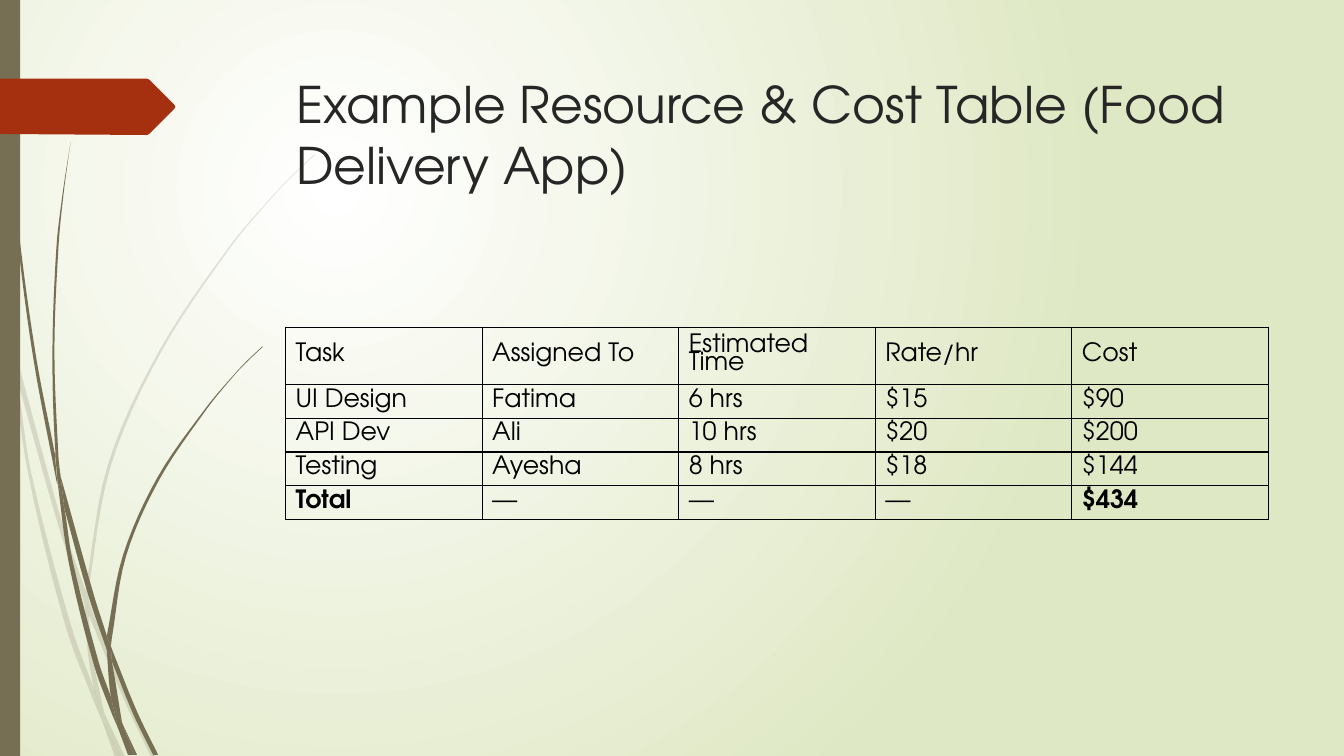
import math

import pptx
import pptx.dml.color
import pptx.enum.shapes
import pptx.enum.text
import pptx.oxml
import pptx.oxml.ns
import pptx.util

Pt = pptx.util.Pt
RGBColor = pptx.dml.color.RGBColor

WHITE = RGBColor(0xFF, 0xFF, 0xFF)
PALE_GREEN = RGBColor(0xDF, 0xE8, 0xC4)
OLIVE = RGBColor(0x76, 0x6F, 0x54)
RUST = RGBColor(0xA5, 0x30, 0x10)
DARK_GREY = RGBColor(0x26, 0x26, 0x26)
BLACK = RGBColor(0x00, 0x00, 0x00)

FONT = "TeX Gyre Adventor"
GRID = Pt(0.72)  # one unit of the outline coordinates below
CURVE_STEPS = 6

# Each outline is a list of edges; each edge is a smooth curve through its points.
FAINT_GRASS = [
    [[(11, 350), (9, 322), (0, 282)], [(0, 299), (10, 344), (11, 350)]],
    [[(14, 345), (62, 520), (85, 586)], [(84, 599), (58, 522), (17, 376)]],
    [[(88, 596), (92, 607), (127, 692), (155, 751)], [(150, 751), (123, 694), (88, 610)]],
    [[(119, 751), (124, 751)], [(105, 711)]],
    [[(93, 683), (70, 619), (31, 469), (17, 376), (11, 350)],
     [(11, 350), (28, 470), (65, 621), (92, 693), (101, 714)], [(99, 707)]],
    [[(84, 599), (87, 646), (93, 683), (96, 692), (105, 711)],
     [(103, 706), (91, 646), (88, 610), (88, 608)]],
    [[(88, 596), (88, 584), (110, 462), (160, 349), (229, 245), (268, 198), (290, 175), (312, 154)],
     [(312, 153), (289, 175), (268, 197), (228, 244), (158, 348), (107, 461), (85, 584), (85, 586)]],
    [[(101, 714), (114, 751)], [(119, 751)]],
    [[(88, 608), (88, 610)], [(88, 596), (85, 586)], [(84, 599)]],
    [[(96, 692), (93, 683)], [(99, 707), (101, 714), (119, 751)], [(105, 711)]],
]
DARK_GRASS = [
    [[(7, 110), (17, 233), (33, 355), (56, 477), (57, 481)],
     [(55, 457), (55, 453), (36, 355), (19, 232), (8, 109), (5, 48), (4, 0)],
     [(3, 0), (4, 48), (7, 110)]],
    [[(106, 633), (106, 631), (93, 590), (60, 472)], [(64, 505), (88, 592), (106, 645)]],
    [[(110, 641), (113, 649), (136, 706), (157, 749)], [(152, 749), (132, 708), (111, 656)]],
    [[(110, 691), (98, 657), (72, 556), (64, 505), (57, 477)],
     [(57, 477), (68, 557), (93, 659), (111, 708), (117, 722)], [(116, 717)]],
    [[(60, 472), (58, 453), (54, 349), (58, 245), (63, 193), (70, 141)],
     [(70, 141), (62, 193), (56, 245), (52, 349), (55, 449), (60, 472)]],
    [[(133, 749), (136, 749)], [(122, 719)]],
    [[(57, 477), (64, 505)], [(60, 472), (55, 449)], [(55, 453)]],
    [[(111, 633), (125, 552), (158, 476), (205, 406), (231, 374), (245, 359), (261, 344)],
     [(260, 344), (245, 358), (231, 373), (204, 405), (156, 474), (122, 551), (106, 631)],
     [(110, 641)]],
    [[(117, 722), (127, 749)], [(131, 749)]],
    [[(106, 645), (110, 691), (116, 706), (122, 719)],
     [(121, 716), (111, 656), (109, 651), (106, 645)]],
    [[(106, 645), (111, 656)], [(110, 641), (106, 631)], [(106, 633)]],
    [[(116, 706), (110, 691)], [(116, 717), (117, 722), (130, 749)], [(133, 749), (122, 719)]],
]
TAG = [[(0, 78), (146, 78)], [(148, 79), (173, 104)], [(174, 106)],
       [(173, 108), (148, 133)], [(146, 134), (0, 133)]]

COST_ROWS = [
    ["Task", "Assigned To", "Estimated Time", "Rate/hr", "Cost"],
    ["UI Design", "Fatima", "6 hrs", "$15", "$90"],
    ["API Dev", "Ali", "10 hrs", "$20", "$200"],
    ["Testing", "Ayesha", "8 hrs", "$18", "$144"],
    ["Total", "—", "—", "—", "$434"],
]
BOLD_TEXTS = ("Total", "$434")


def apply_format(target, values):
    for name, value in values.items():
        setattr(target, name, value)


def write_text(paragraph, text, color, values):
    run = paragraph.add_run()
    run.text = text
    apply_format(run.font, {"name": FONT, **values})
    run.font.color.rgb = color


def paint(shape, color, opacity=100):
    shape.shadow.inherit = False
    shape.fill.solid()
    shape.fill.fore_color.rgb = color
    shape.line.fill.background()
    if opacity < 100:
        color_element = shape.element.spPr.find(".//" + pptx.oxml.ns.qn("a:srgbClr"))
        color_element.append(pptx.oxml.parse_xml(
            f'<a:alpha {pptx.oxml.ns.nsdecls("a")} val="{opacity * 1000}"/>'))


def smooth_edge(points):
    """Return points along a Hermite curve whose speed follows the chord lengths."""
    if len(points) < 3:
        return points
    last = len(points) - 1
    chords = [math.dist(a, b) for a, b in zip(points, points[1:])]
    tangents = []
    for index in range(last + 1):
        before, after = max(index - 1, 0), min(index + 1, last)
        span = sum(chords[before:after])
        tangents.append([(b - a) / span for a, b in zip(points[before], points[after])])
    curve = [points[0]]
    for index, chord in enumerate(chords):
        for step in range(1, CURVE_STEPS + 1):
            t = step / CURVE_STEPS
            end_weight = t * t * (3 - 2 * t)
            leave, arrive = chord * t * (1 - t) ** 2, chord * t * t * (t - 1)
            curve.append(tuple(
                (1 - end_weight) * points[index][axis] + end_weight * points[index + 1][axis]
                + leave * tangents[index][axis] + arrive * tangents[index + 1][axis]
                for axis in (0, 1)))
    return curve


def add_outline(shapes, edges, color, opacity=100):
    vertices = [(x * GRID, y * GRID) for edge in edges for x, y in smooth_edge(edge)]
    builder = shapes.build_freeform(*vertices[0])
    builder.add_line_segments(vertices[1:], close=True)
    paint(builder.convert_to_shape(), color, opacity)


def add_grass(slide, outlines, opacity):
    group = slide.shapes.add_group_shape()
    for edges in outlines:
        add_outline(group.shapes, edges, OLIVE, opacity)


def set_background(slide):
    """Fill the slide with a circular gradient centred in its upper left quarter."""
    fill = slide.background.fill
    fill.gradient()
    for stop, color in zip(fill.gradient_stops, (WHITE, PALE_GREEN)):
        stop.color.rgb = color
    linear = slide.element.find(".//" + pptx.oxml.ns.qn("a:lin"))
    linear.getparent().replace(linear, pptx.oxml.parse_xml(
        f'<a:path {pptx.oxml.ns.nsdecls("a")} path="circle">'
        '<a:fillToRect l="50000" t="50000" r="100000" b="100000"/></a:path>'))


def add_title(slide, text):
    text_frame = slide.shapes.add_textbox(Pt(204.5), Pt(49), Pt(702), Pt(100.8)).text_frame
    text_frame.word_wrap = True
    write_text(text_frame.paragraphs[0], text, DARK_GREY, {"size": Pt(36)})


def add_borders(cell):
    properties = cell._tc.get_or_add_tcPr()
    for position, side in enumerate(("lnL", "lnR", "lnT", "lnB")):
        properties.insert(position, pptx.oxml.parse_xml(
            f'<a:{side} {pptx.oxml.ns.nsdecls("a")} w="{Pt(1)}"><a:solidFill>'
            f'<a:srgbClr val="{BLACK}"/></a:solidFill></a:{side}>'))


def add_cost_table(slide, rows):
    heights = [Pt(41)] + [Pt(24)] * (len(rows) - 1)
    table = slide.shapes.add_table(len(rows), len(rows[0]), Pt(204), Pt(233.8),
                                   Pt(702), sum(heights)).table
    apply_format(table, {"first_row": False, "horz_banding": False})
    for row, height, texts in zip(table.rows, heights, rows):
        row.height = height
        for cell, text in zip(row.cells, texts):
            cell.fill.background()
            cell.vertical_anchor = pptx.enum.text.MSO_ANCHOR.MIDDLE
            add_borders(cell)
            paragraph = cell.text_frame.paragraphs[0]
            paragraph.line_spacing = 0.78
            write_text(paragraph, text, BLACK, {"size": Pt(18), "bold": text in BOLD_TEXTS})


def main():
    presentation = pptx.Presentation()
    apply_format(presentation, {"slide_width": Pt(960), "slide_height": Pt(540)})
    slide = presentation.slides.add_slide(presentation.slide_layouts[6])
    set_background(slide)
    add_grass(slide, FAINT_GRASS, 20)
    add_grass(slide, DARK_GRASS, 100)
    side_bar = slide.shapes.add_shape(
        pptx.enum.shapes.MSO_SHAPE.RECTANGLE, 0, 0, Pt(14.4), presentation.slide_height)
    paint(side_bar, OLIVE)
    add_outline(slide.shapes, TAG, RUST)
    add_title(slide, "Example Resource & Cost Table (Food Delivery App)")
    add_cost_table(slide, COST_ROWS)
    presentation.save("out.pptx")


if __name__ == "__main__":
    main()
